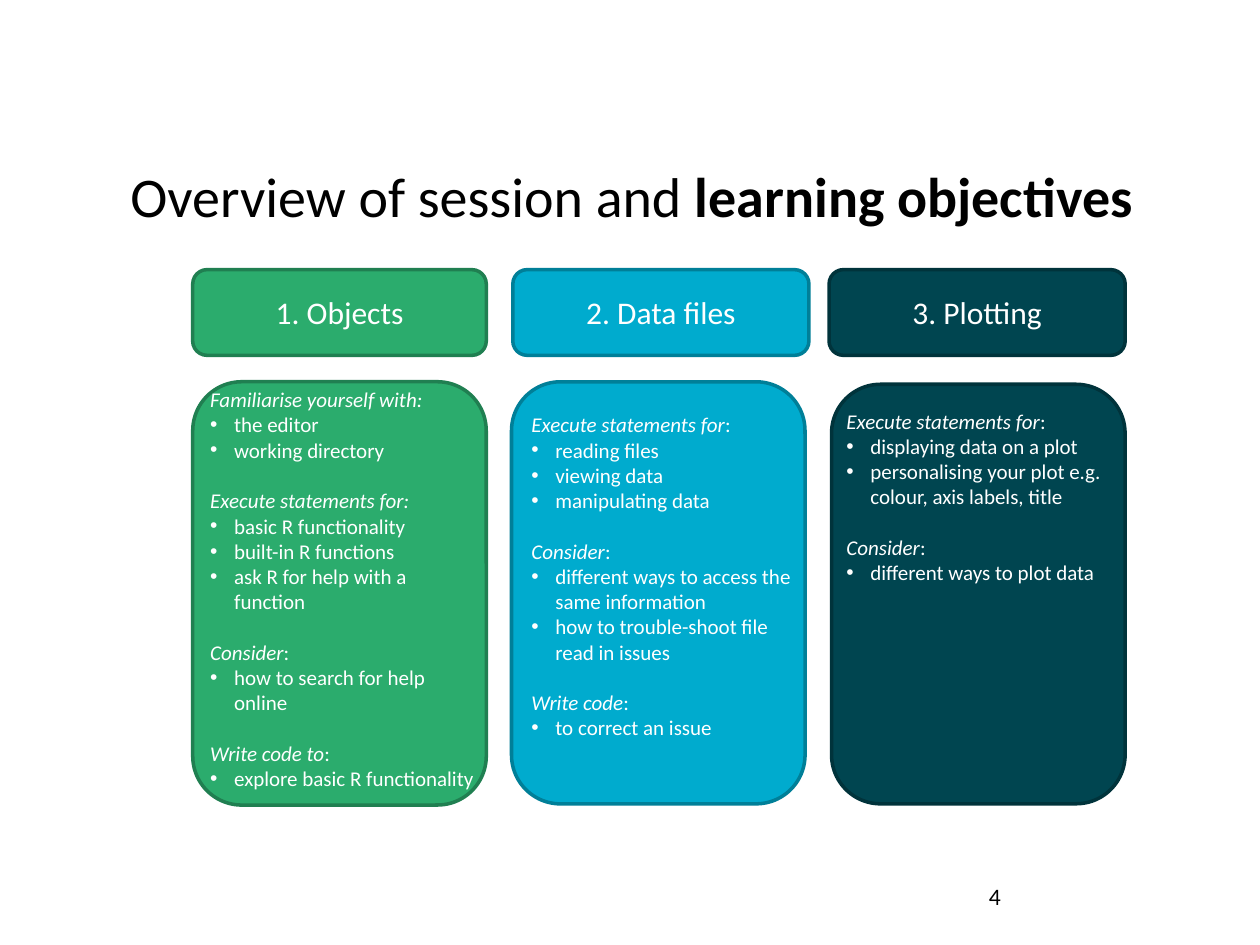
from dataclasses import dataclass

from lxml import etree
from pptx import Presentation
from pptx.dml.color import RGBColor
from pptx.enum.shapes import MSO_SHAPE
from pptx.enum.text import MSO_ANCHOR, PP_ALIGN
from pptx.oxml.ns import qn
from pptx.util import Inches, Pt

ROUNDED = MSO_SHAPE.ROUNDED_RECTANGLE
CENTER = PP_ALIGN.CENTER
LEFT = PP_ALIGN.LEFT
MIDDLE = MSO_ANCHOR.MIDDLE
TOP = MSO_ANCHOR.TOP

FONT = "Calibri"
WHITE = RGBColor(0xFF, 0xFF, 0xFF)
BLACK = RGBColor(0x00, 0x00, 0x00)
GREEN = RGBColor(0x2B, 0xAC, 0x6D)
DARK_GREEN = RGBColor(0x20, 0x7F, 0x51)
BLUE = RGBColor(0x00, 0xAB, 0xCE)
DARK_BLUE = RGBColor(0x00, 0x7F, 0x98)
TEAL = RGBColor(0x00, 0x45, 0x50)
DARK_TEAL = RGBColor(0x00, 0x33, 0x3B)

BULLET_INDENT = Inches(0.19)
SECTION_GAP = Pt(14.6)


@dataclass
class Topic:
    """One column of the overview; boxes are left, top, width, height in inches."""

    title: str
    fill: RGBColor
    border: RGBColor
    header: tuple
    label: tuple
    card: tuple
    goals: tuple
    sections: list


TOPICS = [
    Topic(
        "1. Objects", GREEN, DARK_GREEN,
        (1.53, 2.14, 2.33, 0.68), (2.07, 2.28, 1.25, 0.4),
        (1.53, 3.03, 2.33, 3.36), (1.57, 3.02, 2.33, 3.33),
        [
            ("Familiarise yourself with:", "", ["the editor", "working directory"]),
            ("Execute statements for:", "",
             ["basic R functionality", "built-in R functions",
              "ask R for help with a function"]),
            ("Consider", ":", ["how to search for help online"]),
            ("Write code to", ":", ["explore basic R functionality"]),
        ],
    ),
    Topic(
        "2. Data files", BLUE, DARK_BLUE,
        (4.07, 2.14, 2.35, 0.68), (4.07, 2.28, 2.35, 0.4),
        (4.06, 3.03, 2.33, 3.35), (4.12, 3.22, 2.33, 2.93),
        [
            ("Execute statements for", ":",
             ["reading files", "viewing data", "manipulating data"]),
            ("Consider", ":",
             ["different ways to access the same information",
              "how to trouble-shoot file read in issues"]),
            ("Write code", ":", ["to correct an issue"]),
        ],
    ),
    Topic(
        "3. Plotting", TEAL, DARK_TEAL,
        (6.58, 2.14, 2.35, 0.68), (6.58, 2.28, 2.35, 0.4),
        (6.6, 3.05, 2.33, 3.33), (6.62, 3.19, 2.33, 1.51),
        [
            ("Execute statements for", ":",
             ["displaying data on a plot",
              "personalising your plot e.g. colour, axis labels, title"]),
            ("Consider", ":", ["different ways to plot data"]),
        ],
    ),
]


def inches(box):
    """Convert a box in inches to lengths."""
    return [Inches(value) for value in box]


def set_font(paragraph, size, color):
    """Set the font shared by all runs of a paragraph."""
    paragraph.font.name = FONT
    paragraph.font.size = Pt(size)
    paragraph.font.color.rgb = color


def add_panel(slide, box, fill, border):
    """Add a rounded panel with a darker border."""
    panel = slide.shapes.add_shape(ROUNDED, *inches(box))
    panel.shadow.inherit = False
    panel.fill.solid()
    panel.fill.fore_color.rgb = fill
    panel.line.color.rgb = border
    panel.line.width = Pt(2)


def add_text_frame(slide, box, anchor=TOP):
    """Add a wrapping text box and return its text frame."""
    frame = slide.shapes.add_textbox(*inches(box)).text_frame
    frame.word_wrap = True
    frame.vertical_anchor = anchor
    return frame


def add_label(slide, box, text, size, color, align=LEFT):
    """Add a single line of text."""
    paragraph = add_text_frame(slide, box).paragraphs[0]
    paragraph.text = text
    paragraph.alignment = align
    set_font(paragraph, size, color)


def add_title(slide):
    """Add the slide title with its bold ending."""
    frame = add_text_frame(slide, (0.03, 0.94, 9.97, 1.21), MIDDLE)
    paragraph = frame.paragraphs[0]
    paragraph.alignment = CENTER
    paragraph.add_run().text = "Overview of session and "
    ending = paragraph.add_run()
    ending.text = "learning objectives"
    ending.font.bold = True
    set_font(paragraph, 32, BLACK)


def make_bullet(paragraph):
    """Give a paragraph a bullet with a hanging indent."""
    properties = paragraph._p.get_or_add_pPr()
    properties.set("marL", str(BULLET_INDENT))
    properties.set("indent", str(-BULLET_INDENT))
    etree.SubElement(properties, qn("a:buFont")).set("typeface", "Arial")
    etree.SubElement(properties, qn("a:buChar")).set("char", "•")


def add_goals(slide, topic):
    """Add the headed bullet lists of a topic."""
    frame = add_text_frame(slide, topic.goals)
    for number, (heading, ending, items) in enumerate(topic.sections):
        if number == 0:
            paragraph = frame.paragraphs[0]
        else:
            paragraph = frame.add_paragraph()
            paragraph.space_before = SECTION_GAP
        heading_run = paragraph.add_run()
        heading_run.text = heading
        heading_run.font.italic = True
        if ending:
            paragraph.add_run().text = ending
        set_font(paragraph, 12, WHITE)
        for item in items:
            bullet = frame.add_paragraph()
            bullet.text = item
            make_bullet(bullet)
            set_font(bullet, 12, WHITE)


def add_topic(slide, topic):
    """Add the header and the card of a topic."""
    add_panel(slide, topic.header, topic.fill, topic.border)
    add_label(slide, topic.label, topic.title, 18, WHITE, CENTER)
    add_panel(slide, topic.card, topic.fill, topic.border)
    add_goals(slide, topic)


def main():
    """Build the slide and save it."""
    presentation = Presentation()
    presentation.slide_width = Inches(10)
    presentation.slide_height = Inches(7.5)
    slide = presentation.slides.add_slide(presentation.slide_layouts[6])
    for topic in TOPICS:
        add_topic(slide, topic)
    add_title(slide)
    add_label(slide, (7.75, 6.95, 2.25, 0.4), "4", 13.5, BLACK)
    presentation.save("out.pptx")


if __name__ == "__main__":
    main()
